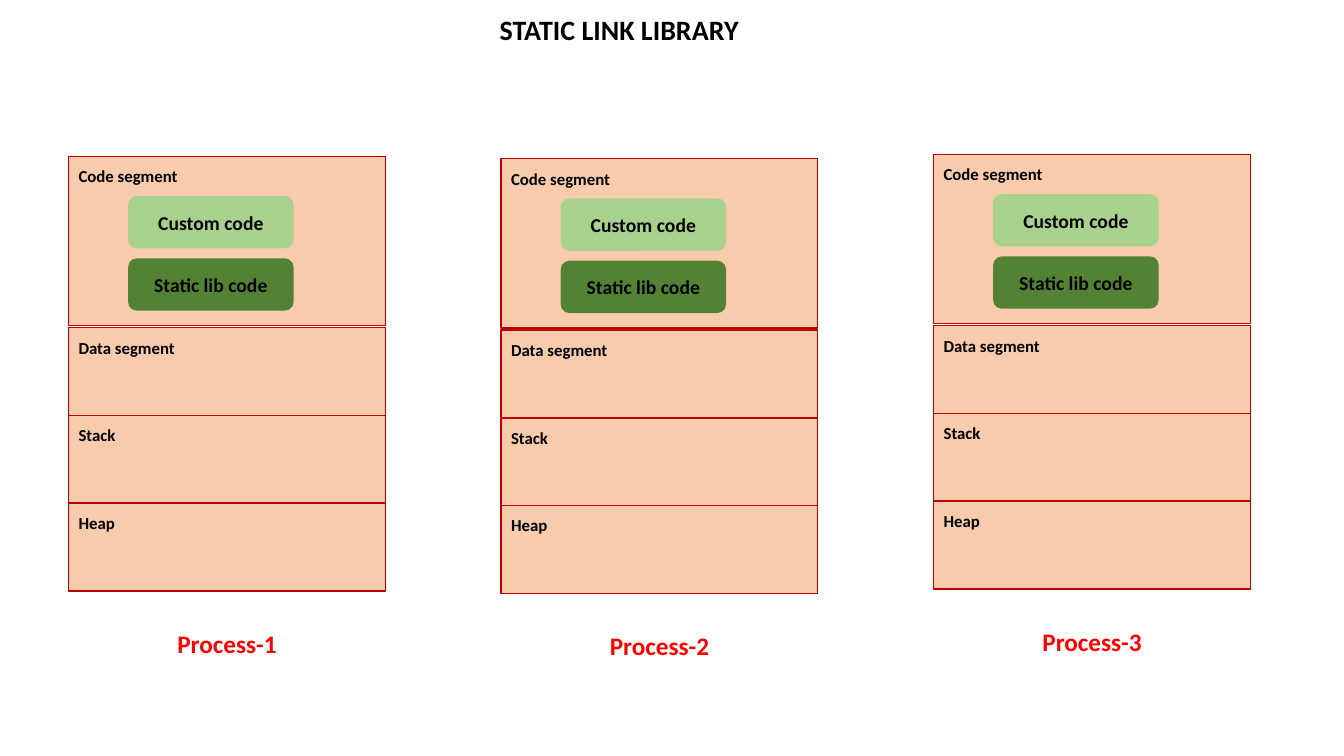
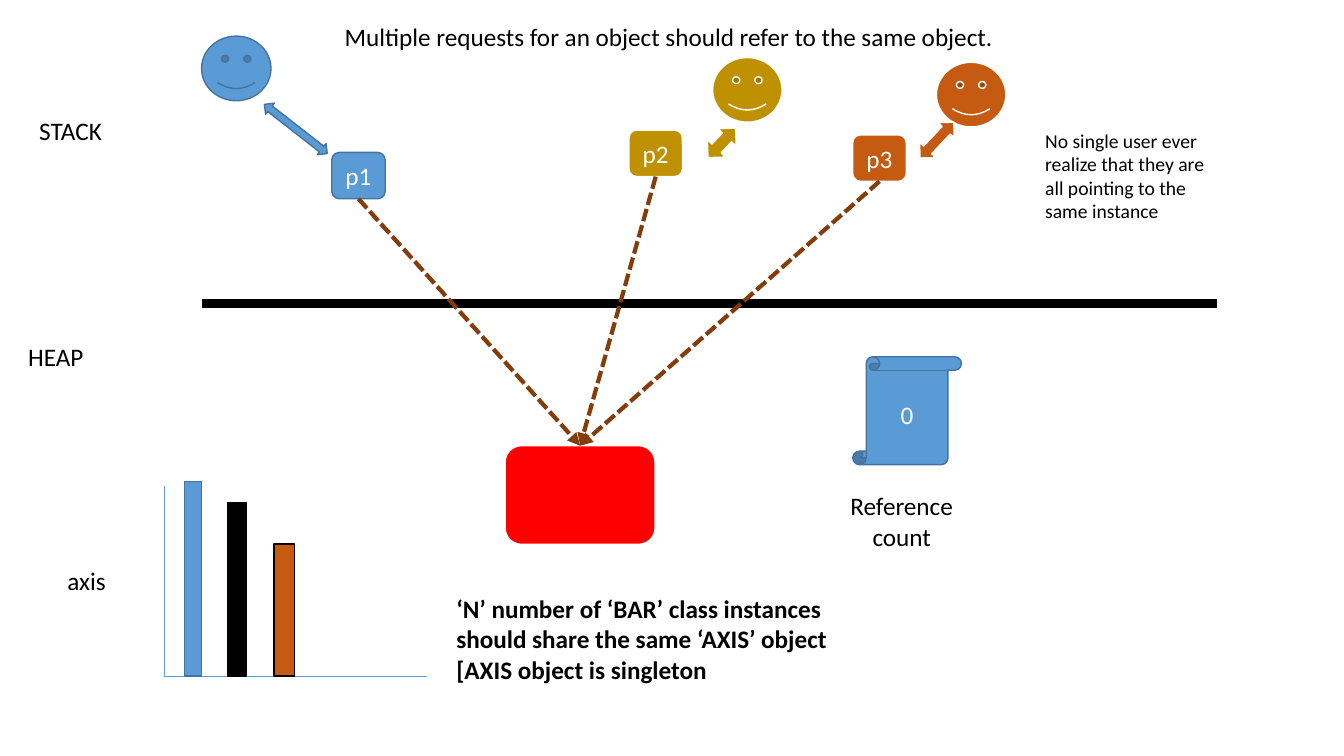
from lxml.etree import SubElement
from pptx import Presentation
from pptx.dml.color import RGBColor
from pptx.enum.dml import MSO_LINE
from pptx.enum.shapes import MSO_CONNECTOR, MSO_SHAPE
from pptx.enum.text import MSO_ANCHOR, MSO_AUTO_SIZE, PP_ALIGN
from pptx.oxml.ns import qn
from pptx.util import Cm, Pt

FONT = "Calibri"
TITLE_ONLY = 5
COLORS = {
    "black": "000000", "white": "FFFFFF", "red": "FF0000",
    "segment": "F8CBAD", "segment_line": "C00000",
    "custom": "A9D18E", "static": "548235",
    "blue": "5B9BD5", "blue_line": "43739E",
    "gold": "BF9000", "orange": "C55A11", "brown": "843C0B",
}


def rgb(name):
    return RGBColor.from_string(COLORS[name])


def write(tf, text, size, color="black", bold=False, align=PP_ALIGN.LEFT,
          anchor=MSO_ANCHOR.TOP):
    tf.word_wrap = True
    tf.auto_size = MSO_AUTO_SIZE.NONE
    tf.vertical_anchor = anchor
    p = tf.paragraphs[0]
    p.text = text
    p.alignment = align
    p.font.name, p.font.size, p.font.bold = FONT, Pt(size), bold
    p.font.color.rgb = rgb(color)


def add_titled_slide(prs, text, box, size, bold=False):
    slide = prs.slides.add_slide(prs.slide_layouts[TITLE_ONLY])
    title = slide.shapes.title
    title.left, title.top, title.width, title.height = map(Cm, box)
    write(title.text_frame, text, size, bold=bold, align=PP_ALIGN.CENTER)
    return slide.shapes


def add_text(shapes, text, box, size=18, **style):
    sp = shapes.add_textbox(*map(Cm, box))
    write(sp.text_frame, text, size, **style)


def add_box(shapes, kind, box, fill, line=None):
    sp = shapes.add_shape(kind, *map(Cm, box))
    sp.shadow.inherit = False
    sp.fill.solid()
    sp.fill.fore_color.rgb = rgb(fill)
    if line:
        sp.line.color.rgb = rgb(line)
        sp.line.width = Pt(1)
    else:
        sp.line.fill.background()
    return sp


def add_labelled_box(shapes, kind, box, fill, line, text, size, **style):
    sp = add_box(shapes, kind, box, fill, line)
    write(sp.text_frame, text, size, align=PP_ALIGN.CENTER,
          anchor=MSO_ANCHOR.MIDDLE, **style)
    return sp


def add_line(shapes, ends, color, width):
    line = shapes.add_connector(MSO_CONNECTOR.STRAIGHT, *map(Cm, ends))
    line.line.color.rgb = rgb(color)
    line.line.width = Pt(width)
    SubElement(line.element.spPr, qn("a:effectLst"))
    return line


def add_pointer(shapes, source, target):
    """Dashed arrow from the bottom of source to the top of target."""
    arrow = add_line(shapes, (0, 0, 0, 0), "brown", 3)
    arrow.begin_connect(source, 2)
    arrow.end_connect(target, 0)
    arrow.line.dash_style = MSO_LINE.SQUARE_DOT
    SubElement(arrow.get_or_add_ln(), qn("a:tailEnd"), type="triangle")


def add_process(shapes, name, left, top):
    group = shapes.add_group_shape().shapes
    # Memory segments
    code_height, height, gap = 4.27, 2.21, 0.05
    data_top = top + code_height + gap
    segments = [("Code segment", top, code_height)]
    segments += [(label, data_top + i * height, height)
                 for i, label in enumerate(("Data segment", "Stack", "Heap"))]
    for label, y, h in segments:
        sp = add_box(group, MSO_SHAPE.RECTANGLE, (left, y, 7.98, h),
                     "segment", "segment_line")
        sp.text_frame.margin_top = Cm(0.24)
        write(sp.text_frame, label, 12, bold=True)
    # Contents of the code segment
    for i, (label, fill) in enumerate((("Custom code", "custom"),
                                       ("Static lib code", "static"))):
        add_labelled_box(group, MSO_SHAPE.ROUNDED_RECTANGLE,
                         (left + 1.5, top + 1 + i * 1.57, 4.17, 1.32),
                         fill, None, label, 14, bold=True)
    add_text(shapes, name, (left + 2.49, top + 11.77, 3.18, 1.02),
             color="red", bold=True)


def add_user(shapes, name, face, box, arrow, angle, fill, line, target):
    add_box(shapes, MSO_SHAPE.SMILEY_FACE, (*face, 1.75, 1.63), fill, line)
    pointer = add_labelled_box(shapes, MSO_SHAPE.ROUNDED_RECTANGLE,
                               (*box, 1.35, 1.17), fill, line, name, 18,
                               color="white")
    add_box(shapes, MSO_SHAPE.LEFT_RIGHT_ARROW, arrow, fill, line).rotation = angle
    add_pointer(shapes, pointer, target)


def add_bars(shapes):
    base, axis_left = 17.04, 4.14
    add_line(shapes, (axis_left, 12.24, axis_left, base), "blue", 0.5)
    add_line(shapes, (axis_left, base, 10.77, base), "blue", 0.5)
    for left, width, height, fill, line in (
            (4.65, 0.43, 4.9, "blue", "blue_line"),
            (5.74, 0.46, 4.37, "black", "black"),
            (6.91, 0.51, 3.33, "orange", "black")):
        add_box(shapes, MSO_SHAPE.RECTANGLE,
                (left, base - height, width, height), fill, line)


def build_static_library(prs):
    shapes = add_titled_slide(prs, "STATIC LINK LIBRARY",
                              (9.7, 0.2, 11.81, 1.12), 20, bold=True)
    for i, top in enumerate((3.94, 4.0, 3.89)):
        add_process(shapes, f"Process-{i + 1}", 1.73 + i * 10.9, top)


def build_shared_object(prs):
    shapes = add_titled_slide(
        prs, "Multiple requests for an object should refer to the same object.",
        (8.36, 0.41, 16.99, 1.02), 18)
    # Stack and heap areas
    add_line(shapes, (5.08, 7.65, 30.66, 7.65), "black", 6)
    add_text(shapes, "STACK", (0.74, 2.79, 2.64, 1.02))
    add_text(shapes, "HEAP", (0.46, 8.48, 2.64, 1.02))
    # Shared instance and its users
    instance = add_box(shapes, MSO_SHAPE.ROUNDED_RECTANGLE,
                       (12.73, 11.23, 3.78, 2.49), "red", "white")
    users = (
        ("p1", (5.08, 0.91), (8.36, 3.84), (6.45, 3.07, 2.01, 0.36), 38,
         "blue", "blue_line"),
        ("p2", (17.96, 1.45), (15.85, 3.28), (17.68, 3.28, 1.02, 0.64), 133.2,
         "gold", "white"),
        ("p3", (23.6, 1.57), (21.49, 3.4), (22.99, 3.25, 1.24, 0.56), 133.2,
         "orange", "white"),
    )
    for user in users:
        add_user(shapes, *user, instance)
    add_text(shapes, "No single user ever realize that they are all pointing "
             "to the same instance", (26.09, 3.12, 5, 2.64), 14)
    # Reference count
    add_labelled_box(shapes, MSO_SHAPE.VERTICAL_SCROLL,
                     (21.49, 8.99, 2.74, 2.72), "blue", "blue_line", "0", 18,
                     color="white")
    add_text(shapes, "Reference count", (20.96, 12.24, 3.53, 1.8),
             align=PP_ALIGN.CENTER)
    # Bars sharing one axis
    add_bars(shapes)
    add_text(shapes, "axis", (1.45, 14.12, 1.93, 1.02))
    add_text(shapes, "‘N’ number of ‘BAR’ class instances should share the same "
             "‘AXIS’ object [AXIS object is singleton",
             (11.25, 14.83, 10.36, 2.57), bold=True)


def main():
    prs = Presentation()
    prs.slide_width, prs.slide_height = Cm(33.87), Cm(19.05)
    build_static_library(prs)
    build_shared_object(prs)
    prs.save("out.pptx")


if __name__ == "__main__":
    main()
